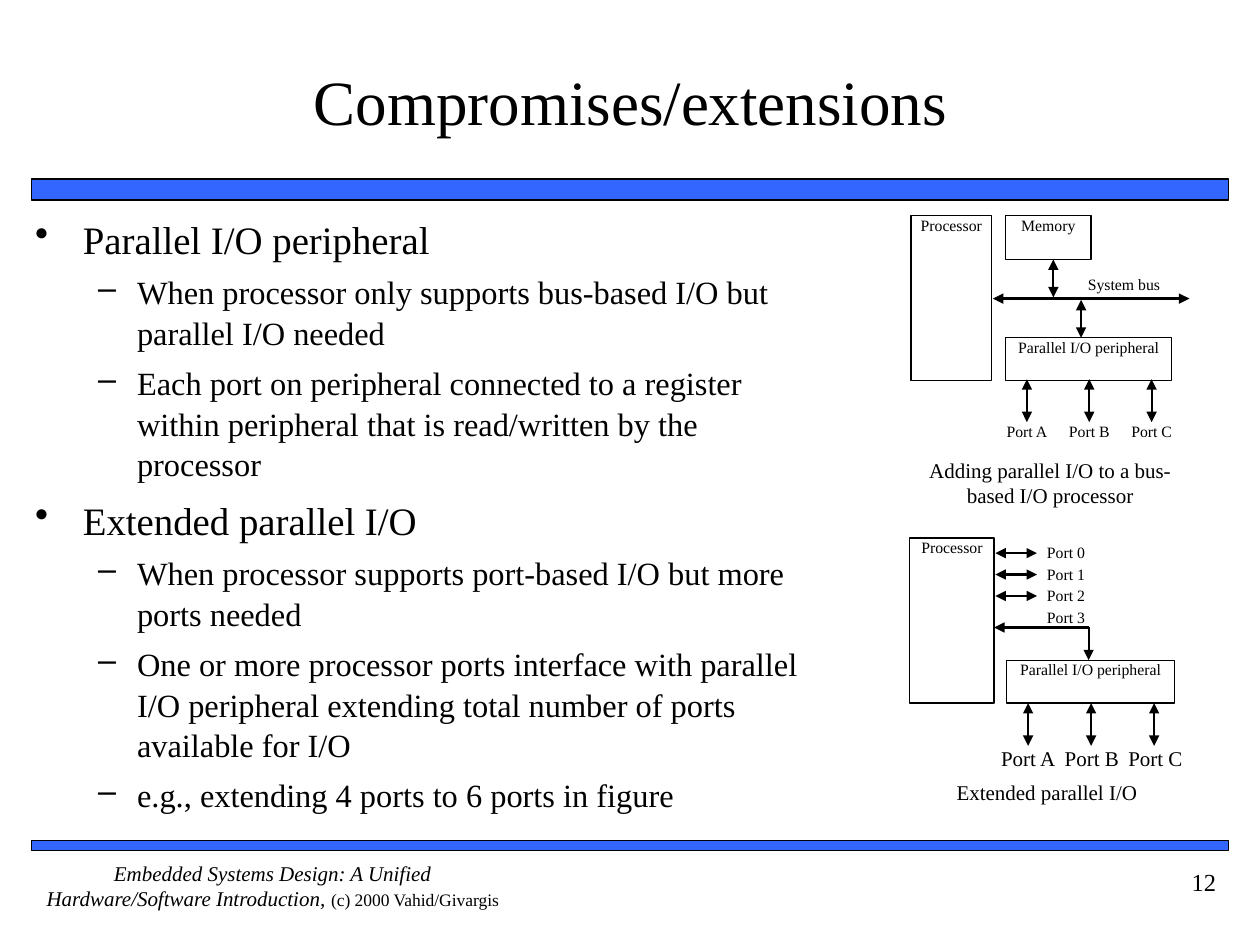
from pptx import Presentation
from pptx.util import Inches as In, Pt
from pptx.dml.color import RGBColor
from pptx.enum.shapes import MSO_SHAPE as Shp, MSO_CONNECTOR as Con
from pptx.enum.text import PP_ALIGN as Al, MSO_ANCHOR as Anc
from pptx.oxml.ns import qn
from lxml.etree import SubElement as Sub

FONT, BLACK, WHITE, BLUE = "Times New Roman", "000000", "FFFFFF", "3366FF"

# Content
TITLE = "Compromises/extensions"
BODY = [
    (0, "Parallel I/O peripheral"),
    (1, "When processor only supports bus-based I/O but parallel I/O needed"),
    (1, "Each port on peripheral connected to a register within peripheral "
        "that is read/written by the processor"),
    (0, "Extended parallel I/O"),
    (1, "When processor supports port-based I/O but more ports needed"),
    (1, "One or more processor ports interface with parallel I/O peripheral "
        "extending total number of ports available for I/O"),
    (1, "e.g., extending 4 ports to 6 ports in figure"),
]
# Per level: bullet, left indent, hanging indent, space before, size
LEVELS = [("•", 0.38, -0.38, 6, 22.2), ("–", 0.81, -0.31, 5, 18.5)]
BOOK = "Embedded Systems Design: A Unified Hardware/Software Introduction, "
RIGHTS = "(c) 2000 Vahid/Givargis"
PORTS = ["Port A", "Port B", "Port C"]
CPU_PORTS = ["Port 0", "Port 1", "Port 2", "Port 3"]
BARS = [(1.42, 0.17), (6.67, 0.08)]
# Boxes: text, left, top, width, height
BOXES = [
    ("Processor", 7.23, 1.71, 0.64, 1.31),
    ("Memory", 7.98, 1.71, 0.68, 0.35),
    ("Parallel I/O peripheral", 7.98, 2.68, 1.32, 0.34),
    ("Processor", 7.22, 4.27, 0.67, 1.31),
    ("Parallel I/O peripheral", 7.99, 5.24, 1.33, 0.34),
]
# Labels: text, left, top, width, height, size
LABELS = [
    ("System bus", 8.47, 2.18, 0.9, 0.17, 9),
    ("Adding parallel I/O to a bus-based I/O processor",
     7.23, 3.63, 2.21, 0.49, 12),
    ("Extended parallel I/O", 7.23, 6.19, 2.16, 0.37, 12),
]
# Port rows: first arrow, arrow top, arrow step, label step, width, size
ROWS = [(8.15, 3.01, 0.495, 0.495, 0.39, 9),
        (8.16, 5.58, 0.5, 0.505, 0.62, 12)]

prs = Presentation()
prs.slide_width, prs.slide_height = In(10), In(7.5)
slide = prs.slides.add_slide(prs.slide_layouts[6])
shapes = slide.shapes


def rgb(code):
    return RGBColor.from_string(code)


def style(par, size, align=Al.CENTER):
    par.alignment = align
    font = par.font
    font.name, font.size, font.color.rgb = FONT, Pt(size), rgb(BLACK)


def setup(frame, pad=(0, 0), anchor=Anc.TOP):
    frame.word_wrap, frame.vertical_anchor = True, anchor
    frame.margin_left = frame.margin_right = In(pad[0])
    frame.margin_top = frame.margin_bottom = In(pad[1])
    return frame


def text(words, x, y, w, h, size, align=Al.CENTER, pad=(0, 0), anchor=Anc.TOP):
    box = shapes.add_textbox(In(x), In(y), In(w), In(h))
    frame = setup(box.text_frame, pad, anchor)
    frame.text = words
    style(frame.paragraphs[0], size, align)
    return frame


def rect(x, y, w, h, fill, width, words=""):
    box = shapes.add_shape(Shp.RECTANGLE, In(x), In(y), In(w), In(h))
    box.shadow.inherit = False
    box.fill.solid()
    box.fill.fore_color.rgb = rgb(fill)
    box.line.color.rgb, box.line.width = rgb(BLACK), Pt(width)
    if words:
        frame = setup(box.text_frame)
        frame.text = words
        style(frame.paragraphs[0], 9)


def arrow(x1, y1, x2, y2, width=1.25, both=True):
    con = shapes.add_connector(Con.STRAIGHT, In(x1), In(y1), In(x2), In(y2))
    con.line.color.rgb, con.line.width = rgb(BLACK), Pt(width)
    line = con.line._get_or_add_ln()
    for end in ("a:headEnd", "a:tailEnd") if both else ("a:tailEnd",):
        Sub(line, qn(end), type="triangle")
    Sub(con._element.spPr, qn("a:effectLst"))


# Bars, title and footer
for top, high in BARS:
    rect(0.25, top, 9.5, high, BLUE, 1)
text(TITLE, 0.42, 0.17, 9.17, 1.25, 36, pad=(0, 0.05), anchor=Anc.MIDDLE)
foot = text("", 0.25, 6.83, 3.83, 0.5, 12).paragraphs[0]
for words, size, slant in [(BOOK, 12, True), (RIGHTS, 10, False)]:
    run = foot.add_run()
    run.text = words
    font = run.font
    font.size, font.italic = Pt(size), slant
    font.name, font.color.rgb = FONT, rgb(BLACK)
num = text("12", 8.75, 6.83, 1, 0.5, 14, Al.RIGHT, (0.1, 0.05))
num.paragraphs[0].space_before = Pt(8.8)

# Bulleted body
body = text("", 0.18, 1.64, 6.46, 4.92, 18.5, Al.LEFT, (0.1, 0.05))
for i, (level, words) in enumerate(BODY):
    par = body.add_paragraph() if i else body.paragraphs[0]
    mark, left, hang, gap, size = LEVELS[level]
    par.text, par.level = words, level
    style(par, size, Al.LEFT)
    par.space_before, par.line_spacing = Pt(gap), 1.05
    props = par._p.get_or_add_pPr()
    props.set("marL", str(In(left)))
    props.set("indent", str(In(hang)))
    bullet = Sub(props, qn("a:buChar"), char=mark)
    props.find(qn("a:defRPr")).addprevious(bullet)

# Diagram boxes and labels
for words, *place in BOXES:
    rect(*place, WHITE, 0.75, words)
for label in LABELS:
    text(*label)

# Bus and its links
arrow(7.88, 2.37, 9.44, 2.37, 1.5)
arrow(8.36, 2.06, 8.36, 2.36)
arrow(8.58, 2.38, 8.58, 2.68)

# Ports under each peripheral
for x, y, step, pitch, wide, size in ROWS:
    for i, port in enumerate(PORTS):
        mid = x + i * step
        arrow(mid, y, mid, y + 0.34)
        text(port, x + i * pitch - wide / 2, y + 0.34, wide, 0.17, size)

# Processor ports; the last one feeds the peripheral
for i, port in enumerate(CPU_PORTS):
    text(port, 8.15, 4.31 + i * 0.17, 0.62, 0.17, 9)
    if i < 3:
        arrow(8.23, 4.39 + i * 0.17, 7.9, 4.39 + i * 0.17)
arrow(8.64, 4.98, 7.89, 4.98, both=False)
arrow(8.64, 4.98, 8.64, 5.24, both=False)

prs.save("out.pptx")
